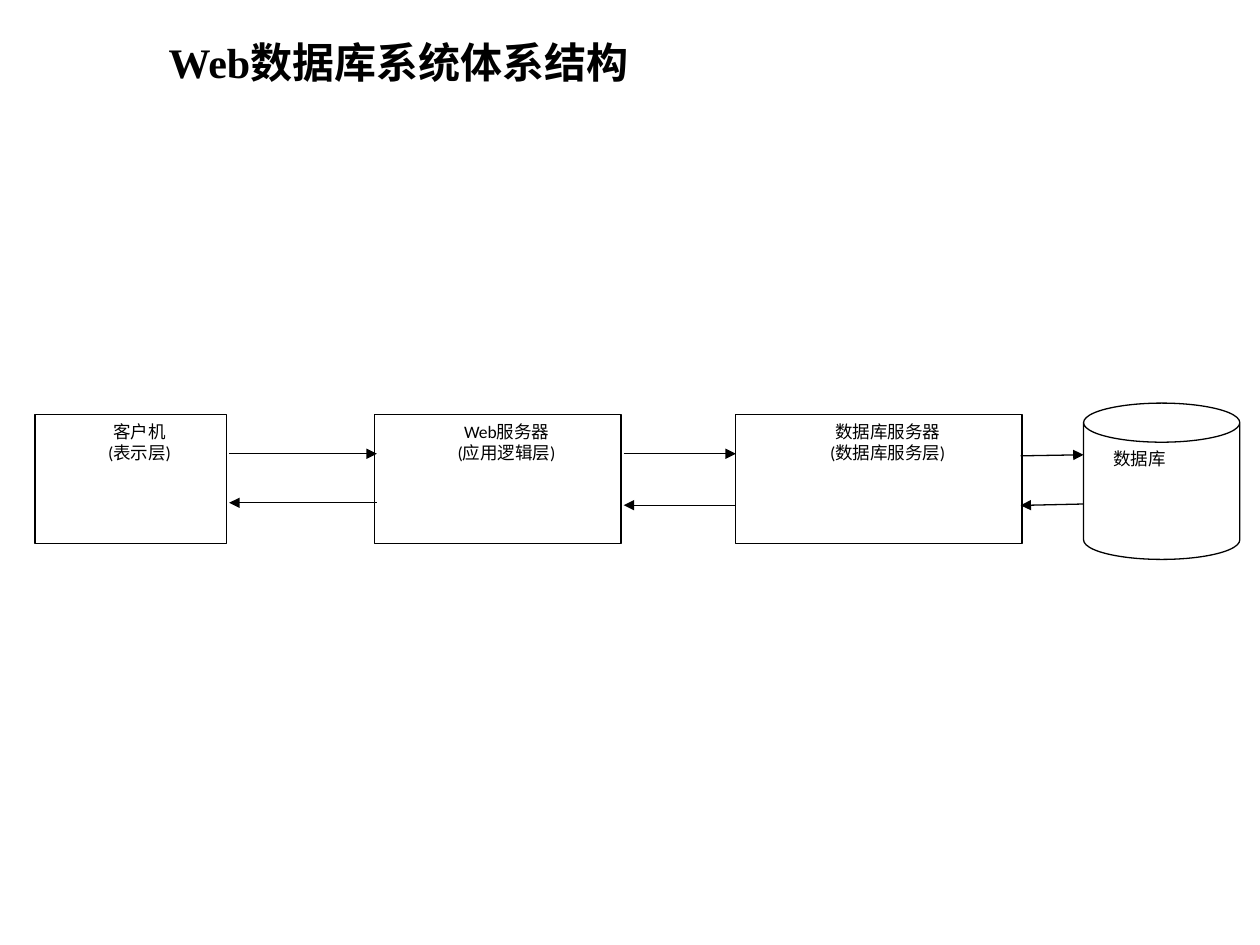
from lxml.etree import SubElement
from pptx import Presentation
from pptx.dml.color import RGBColor
from pptx.enum.shapes import MSO_CONNECTOR, MSO_SHAPE
from pptx.enum.text import MSO_ANCHOR, PP_ALIGN
from pptx.oxml.ns import qn
from pptx.util import Pt

BLACK = RGBColor(0, 0, 0)
WHITE = RGBColor(255, 255, 255)
LINE_WIDTH = Pt(0.75)
FIRST_LINE_INDENT = Pt(10)

TIER_TOP, TIER_HEIGHT = 237, 73.5
# left, width, lines of text
TIERS = [
    (20, 109.5, ["客户机", "(表示层)"]),
    (214, 141, ["Web服务器", "(应用逻辑层)"]),
    (420.5, 163.5, ["数据库服务器", "(数据库服务层)"]),
]
# start x, start y, end x, end y
REQUESTS = [
    (131, 259.3, 215.3, 259.3),
    (356.4, 259.3, 420.5, 259.3),
    (583.2, 260.5, 619.2, 259.9),
]
REPLIES = [
    (215.3, 287.3, 131, 287.3),
    (420.5, 288.7, 356.4, 288.7),
    (619.2, 288, 583.2, 288.8),
]


def style_text(paragraph, text, font_name, size, bold=False):
    paragraph.text = text
    font = paragraph.font
    font.name, font.size, font.bold = font_name, Pt(size), bold
    font.color.rgb = BLACK


def add_node(slide, preset, left, top, width, height, lines, alignment):
    """Add a white outlined shape with indented text at its top."""
    node = slide.shapes.add_shape(preset, Pt(left), Pt(top), Pt(width), Pt(height))
    node.shadow.inherit = False
    node.fill.solid()
    node.fill.fore_color.rgb = WHITE
    node.line.color.rgb = BLACK
    node.line.width = LINE_WIDTH
    frame = node.text_frame
    frame.word_wrap = True
    frame.vertical_anchor = MSO_ANCHOR.TOP
    for index, line in enumerate(lines):
        paragraph = frame.add_paragraph() if index else frame.paragraphs[0]
        style_text(paragraph, line, "Calibri", 10)
        paragraph.alignment = alignment
        paragraph._p.get_or_add_pPr().set("indent", str(FIRST_LINE_INDENT))


def add_arrow(slide, *ends):
    arrow = slide.shapes.add_connector(MSO_CONNECTOR.STRAIGHT, *map(Pt, ends))
    arrow.line.color.rgb = BLACK
    arrow.line.width = LINE_WIDTH
    SubElement(arrow.line._get_or_add_ln(), qn("a:tailEnd"), type="triangle")
    SubElement(arrow._element.spPr, qn("a:effectLst"))


def add_title(slide, text):
    title = slide.shapes.add_textbox(Pt(89.3), Pt(17.3), Pt(280.8), Pt(36))
    title.text_frame.word_wrap = True
    style_text(title.text_frame.paragraphs[0], text, "Times New Roman", 24, bold=True)


def main():
    presentation = Presentation()
    presentation.slide_width, presentation.slide_height = Pt(720), Pt(540)
    slide = presentation.slides.add_slide(presentation.slide_layouts[6])

    for left, width, lines in TIERS:
        add_node(slide, MSO_SHAPE.RECTANGLE, left, TIER_TOP, width, TIER_HEIGHT,
                 lines, PP_ALIGN.CENTER)
    add_node(slide, MSO_SHAPE.CAN, 619.2, 230.4, 89.3, 89.3, ["数据库"], PP_ALIGN.LEFT)
    for ends in REQUESTS + REPLIES:
        add_arrow(slide, *ends)
    add_title(slide, "Web数据库系统体系结构")

    presentation.save("out.pptx")


if __name__ == "__main__":
    main()
